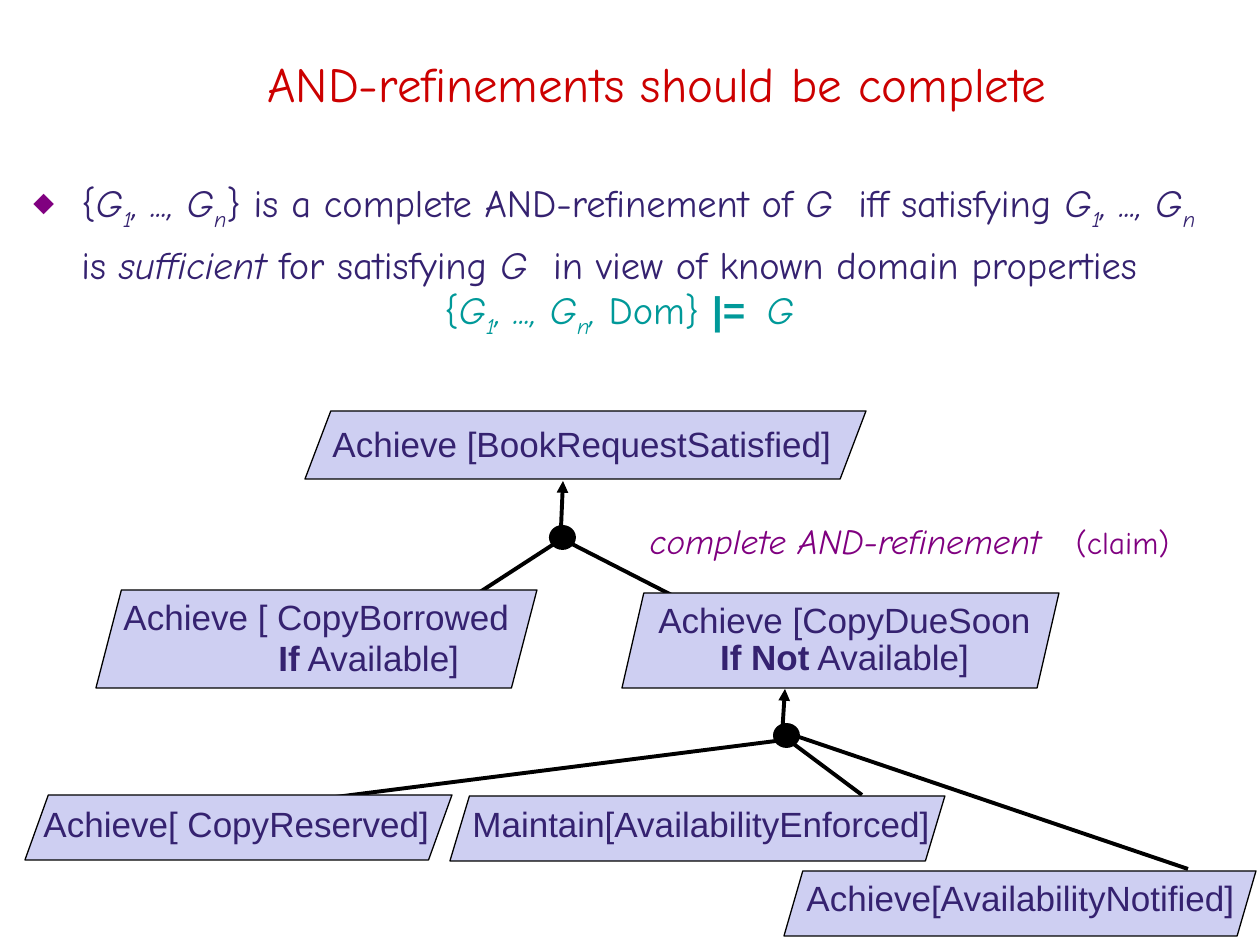
import pptx
import pptx.util
import pptx.dml.color
import pptx.enum.shapes
import pptx.enum.text
import lxml.etree

PX = 914400 // 126
SHAPE = pptx.enum.shapes.MSO_SHAPE
ALIGN = pptx.enum.text.PP_ALIGN
ANCHOR = pptx.enum.text.MSO_ANCHOR
INK, RED, TEAL, PLUM = "352270", "CC0000", "009999", "800080"
FILL, BLACK = "CECFF2", "000000"

# Run styles
NORM, ITAL, SUB, BOLD = "norm", "ital", "sub", "bold"
STYLES = {
    NORM: {},
    ITAL: {"italic": True},
    SUB: {"italic": True},
    BOLD: {"bold": True, "name": "Arial"},
}
GOALS = [("G", ITAL), ("1", SUB), (", ..., G", ITAL), ("n", SUB)]

TITLE = [("AND-refinements should be complete", NORM)]
RULE = [
    ("{", NORM), *GOALS, ("} is a complete AND-refinement of ", NORM),
    ("G  ", ITAL), ("iff satisfying ", NORM), *GOALS, (" is ", NORM),
    ("sufficient", ITAL), (" for satisfying ", NORM), ("G", ITAL),
    ("  in view of known domain properties", NORM),
]
LOGIC = [("{", NORM), *GOALS, (",", ITAL), (" Dom} ", NORM),
         ("|=  ", BOLD), ("G", ITAL)]
CLAIM = [("complete AND-refinement   ", ITAL), ("(claim)", "small")]
STYLES["small"] = {"size": pptx.util.Pt(18)}

# Goal: shape box, slant, text box, lines of (runs, paragraph format)
TIGHT = {"line_spacing": 0.8}
MID = {"alignment": ALIGN.CENTER}
NODES = [
    ((305, 411, 561, 68), 0.38, (320, 416, 539, 55),
     [([("Achieve [BookRequestSatisfied]", NORM)], {})]),
    ((96, 590, 441, 98), 0.26, (111, 597, 424, 71),
     [([("Achieve [ CopyBorrowed", NORM)], TIGHT),
      ([("If", BOLD), (" Available]", NORM)], {"indent": 155})]),
    ((622, 593, 437, 95), 0.23, (644, 600, 401, 82),
     [([("Achieve [CopyDueSoon", NORM)], {**MID, **TIGHT}),
      ([("If Not", BOLD), (" Available]", NORM)],
       {**MID, "line_spacing": 0.9})]),
    ((25, 795, 427, 65), 0.36, (31, 804, 420, 54),
     [([("Achieve[ CopyReserved]", NORM)], TIGHT)]),
    ((450, 796, 495, 65), 0.3, (460, 805, 495, 49),
     [([("Maintain[AvailabilityEnforced]", NORM)], TIGHT)]),
    ((784, 871, 472, 65), 0.29, (794, 878, 462, 50),
     [([("Achieve[AvailabilityNotified]", NORM)], TIGHT)]),
]
DOTS = [(551, 527, 23, 21), (775, 725, 23, 21)]
LINKS = [
    (776, 741, 328, 798), (554, 544, 460, 605), (572, 544, 693, 606),
    (791, 742, 862, 795), (796, 736, 1188, 869),
]
ARROWS = [(561, 529, 563, 481), (782, 737, 785, 689)]


def px(vals):
    return [v * PX for v in vals]


def rgb(code):
    return pptx.dml.color.RGBColor.from_string(code)


def child(node, tag, **attrs):
    elem = lxml.etree.SubElement(node, pptx.oxml.ns.qn(tag))
    for key, val in attrs.items():
        elem.set(key, val)
    return elem


def put(obj, vals):
    for key, val in vals.items():
        setattr(obj, key, val)


def text(slide, box, lines, size, font, color, anchor=ANCHOR.TOP):
    """Add a text box; each line is (runs, format), indent in px."""
    frame = slide.shapes.add_textbox(*px(box)).text_frame
    put(frame, {"word_wrap": True, "vertical_anchor": anchor})
    for num, (runs, form) in enumerate(lines):
        para = frame.add_paragraph() if num else frame.paragraphs[0]
        form = dict(form)
        left = form.pop("indent", 0)
        tint = form.pop("color", color)
        put(para, form)
        if left:
            para._p.get_or_add_pPr().set("marL", str(left * PX))
        for words, style in runs:
            run = para.add_run()
            run.text = words
            put(run.font, {"size": pptx.util.Pt(size), "name": font,
                           **STYLES[style]})
            run.font.color.rgb = rgb(tint)
            if style == SUB:
                run._r.get_or_add_rPr().set("baseline", "-25000")
    return frame


def bullet(para, hang):
    props = para._p.get_or_add_pPr()
    props.set("indent", str(-hang * PX))
    child(child(props, "a:buClr"), "a:srgbClr", val=PLUM)
    child(props, "a:buSzPct", val="70000")
    child(props, "a:buChar", char="◆")


def solid(slide, kind, box, fill, width):
    shape = slide.shapes.add_shape(kind, *px(box))
    shape.shadow.inherit = False
    shape.fill.solid()
    shape.fill.fore_color.rgb = rgb(fill)
    shape.line.color.rgb = rgb(BLACK)
    shape.line.width = pptx.util.Pt(width)
    return shape


def link(slide, ends, arrow=False):
    line = slide.shapes.add_connector(
        pptx.enum.shapes.MSO_CONNECTOR.STRAIGHT, *px(ends))
    line.line.color.rgb = rgb(BLACK)
    line.line.width = pptx.util.Pt(2.25)
    if arrow:
        child(line.line._get_or_add_ln(), "a:tailEnd", type="triangle")
    child(line._element.spPr, "a:effectLst")


def main():
    deck = pptx.Presentation()
    put(deck, {"slide_width": 1260 * PX, "slide_height": 945 * PX})
    slide = deck.slides.add_slide(deck.slide_layouts[6])

    text(slide, (163, 30, 988, 105), [(TITLE, MID)],
         28, "Comic Neue", RED, ANCHOR.MIDDLE)
    body = text(slide, (21, 115, 1220, 273), [
        (RULE, {"line_spacing": 1.2, "indent": 48}),
        (LOGIC, {"line_spacing": 0.9, "indent": 411, "color": TEAL}),
    ], 22, "Comic Neue", INK, ANCHOR.MIDDLE)
    bullet(body.paragraphs[0], 48)

    for ends in LINKS:
        link(slide, ends)
    for box, slant, area, lines in NODES:
        shape = solid(slide, SHAPE.PARALLELOGRAM, box, FILL, 0.75)
        shape.adjustments[0] = slant
        text(slide, area, lines, 20, "Arial", INK)
    for ends in ARROWS:
        link(slide, ends, arrow=True)
    for box in DOTS:
        solid(slide, SHAPE.OVAL, box, BLACK, 2.25)
    text(slide, (585, 513, 649, 54), [(CLAIM, MID)],
         20, "Comic Neue", PLUM, ANCHOR.MIDDLE)
    deck.save("out.pptx")


if __name__ == "__main__":
    main()
